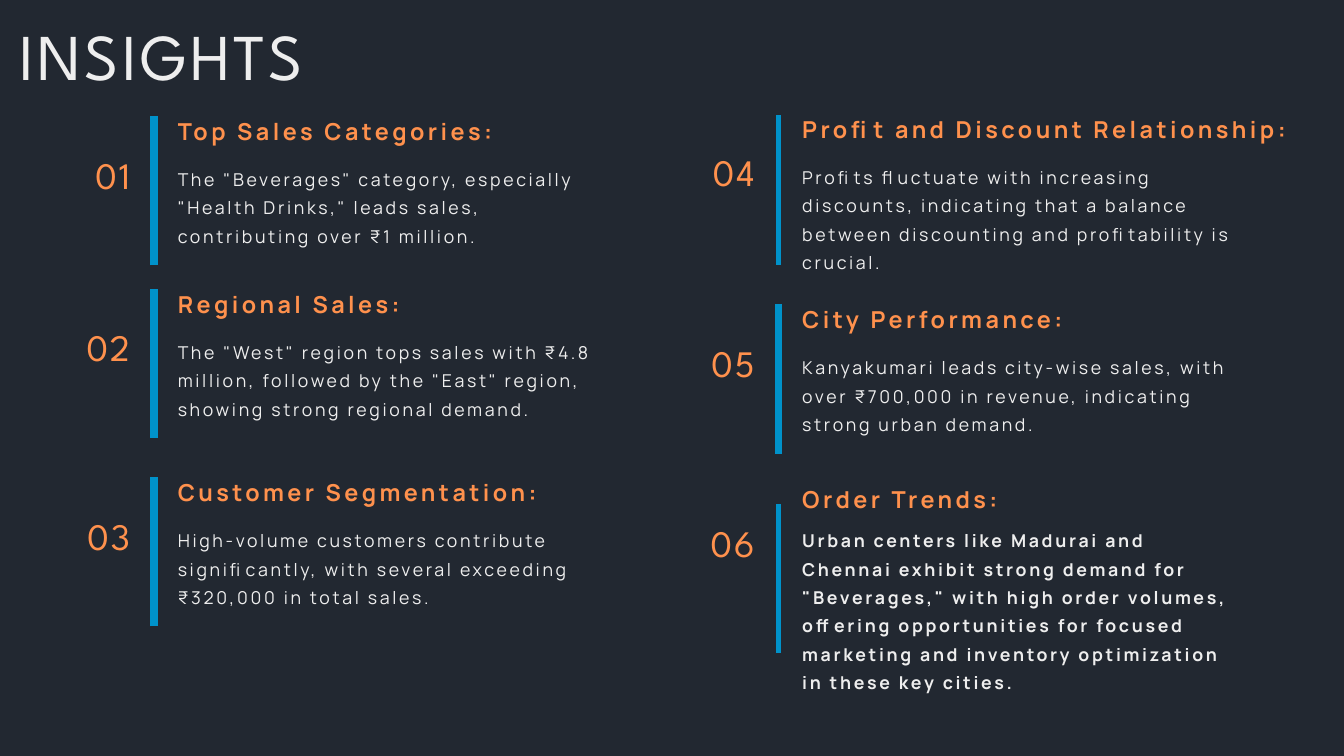
"""Build the Insights slide: six numbered findings in two columns."""
from dataclasses import dataclass

import pptx
import pptx.dml.color
import pptx.enum.shapes
import pptx.enum.text
import pptx.oxml.ns
import pptx.util
from lxml import etree
from pptx.shapes.autoshape import Shape
from pptx.slide import Slide

PX = 9525
ALIGN = pptx.enum.text.PP_ALIGN


@dataclass(frozen=True)
class TextStyle:
    font: str
    size: int
    leading: float
    tracking: float
    color: str
    bold: bool = False
    align: ALIGN = ALIGN.LEFT


@dataclass(frozen=True)
class Theme:
    background: str = "222831"
    bar: str = "0092CA"
    title: TextStyle = TextStyle("League Spartan", 70, 98, 3.5, "EEEEEE")
    number: TextStyle = TextStyle("League Spartan", 40, 56, 2, "FF914D", align=ALIGN.RIGHT)
    heading: TextStyle = TextStyle("Manrope", 25, 40, 3.7, "FF914D", True, ALIGN.JUSTIFY)
    body: TextStyle = TextStyle("Manrope", 19, 30.4, 2.9, "EEEEEE")
    strong: TextStyle = TextStyle("Manrope", 19, 30.4, 2.9, "EEEEEE", True)


@dataclass(frozen=True)
class Insight:
    x: int
    y: int
    heading: str
    body: str
    lines: int = 3
    heading_width: int = 624
    bar_offset: int = 12
    bar_weight: int = 8
    body_offset: int = 77
    strong: bool = False


THEME = Theme()
LEFT, RIGHT = 68, 960
INSIGHTS = [
    Insight(LEFT, 154, "Top Sales Categories:",
            'The "Beverages" category, especially "Health Drinks," leads sales, '
            "contributing over ₹1 million."),
    Insight(LEFT, 401, "Regional Sales:",
            'The "West" region tops sales with ₹4.8 million, followed by the "East" region, '
            "showing strong regional demand."),
    Insight(LEFT, 670, "Customer Segmentation:",
            "High-volume customers contribute significantly, with several exceeding "
            "₹320,000 in total sales."),
    Insight(RIGHT, 151, "Profit and Discount Relationship:",
            "Profits fluctuate with increasing discounts, indicating that a balance "
            "between discounting and profitability is crucial.",
            lines=4, heading_width=727, bar_offset=14, bar_weight=6),
    Insight(RIGHT, 423, "City Performance:",
            "Kanyakumari leads city-wise sales, with over ₹700,000 in revenue, "
            "indicating strong urban demand."),
    Insight(RIGHT, 680, "Order Trends:",
            "Urban centers like Madurai and Chennai exhibit strong demand for "
            '"Beverages," with high order volumes, offering opportunities for focused '
            "marketing and inventory optimization in these key cities.",
            lines=6, bar_offset=40, bar_weight=6, body_offset=67, strong=True),
]


def rgb(color: str) -> pptx.dml.color.RGBColor:
    return pptx.dml.color.RGBColor.from_string(color)


def write(sp: Shape, text: str, style: TextStyle) -> None:
    tf = sp.text_frame
    tf.text = text
    tf.word_wrap = True
    tf.auto_size = pptx.enum.text.MSO_AUTO_SIZE.SHAPE_TO_FIT_TEXT
    tf.vertical_anchor = pptx.enum.text.MSO_ANCHOR.TOP
    tf.margin_left = tf.margin_top = tf.margin_right = tf.margin_bottom = 0
    p = tf.paragraphs[0]
    p.alignment = style.align
    p.line_spacing = pptx.util.Pt(style.leading)
    r = p.runs[0]
    r.font.name = style.font
    r.font.size = pptx.util.Pt(style.size)
    r.font.bold = style.bold
    r.font.color.rgb = rgb(style.color)
    r.font._element.set("spc", str(round(style.tracking * 100)))


def add_text(slide: Slide, x: int, y: int, w: int, h: int, text: str, style: TextStyle) -> None:
    write(slide.shapes.add_textbox(x * PX, y * PX, w * PX, h * PX), text, style)


def add_bar(slide: Slide, x: int, y: int, h: int, weight: int) -> None:
    sp = slide.shapes.add_connector(
        pptx.enum.shapes.MSO_CONNECTOR.STRAIGHT, x * PX, (y + h) * PX, x * PX, y * PX)
    sp.line.color.rgb = rgb(THEME.bar)
    sp.line.width = pptx.util.Pt(weight)
    etree.SubElement(sp._element.spPr, pptx.oxml.ns.qn("a:effectLst"))


def add_insight(slide: Slide, number: int, item: Insight) -> None:
    text_x = item.x + 186
    add_text(slide, text_x, item.y, item.heading_width, 50, item.heading, THEME.heading)
    add_text(slide, item.x, item.y + 52, 118, 71, f"{number:02}", THEME.number)
    add_bar(slide, item.x + 152, item.y + item.bar_offset, 213, item.bar_weight)
    add_text(slide, text_x, item.y + item.body_offset, 624, item.lines * 40, item.body,
             THEME.strong if item.strong else THEME.body)


def main() -> None:
    prs = pptx.Presentation()
    prs.slide_width, prs.slide_height = 1920 * PX, 1080 * PX
    slide = prs.slides.add_slide(prs.slide_layouts.get_by_name("Title Only"))
    slide.background.fill.solid()
    slide.background.fill.fore_color.rgb = rgb(THEME.background)
    title = slide.shapes.title
    title.left, title.top, title.width, title.height = 28 * PX, 3 * PX, 1785 * PX, 126 * PX
    write(title, "INSIGHTS", THEME.title)
    for number, item in enumerate(INSIGHTS, start=1):
        add_insight(slide, number, item)
    prs.save("out.pptx")


if __name__ == "__main__":
    main()
